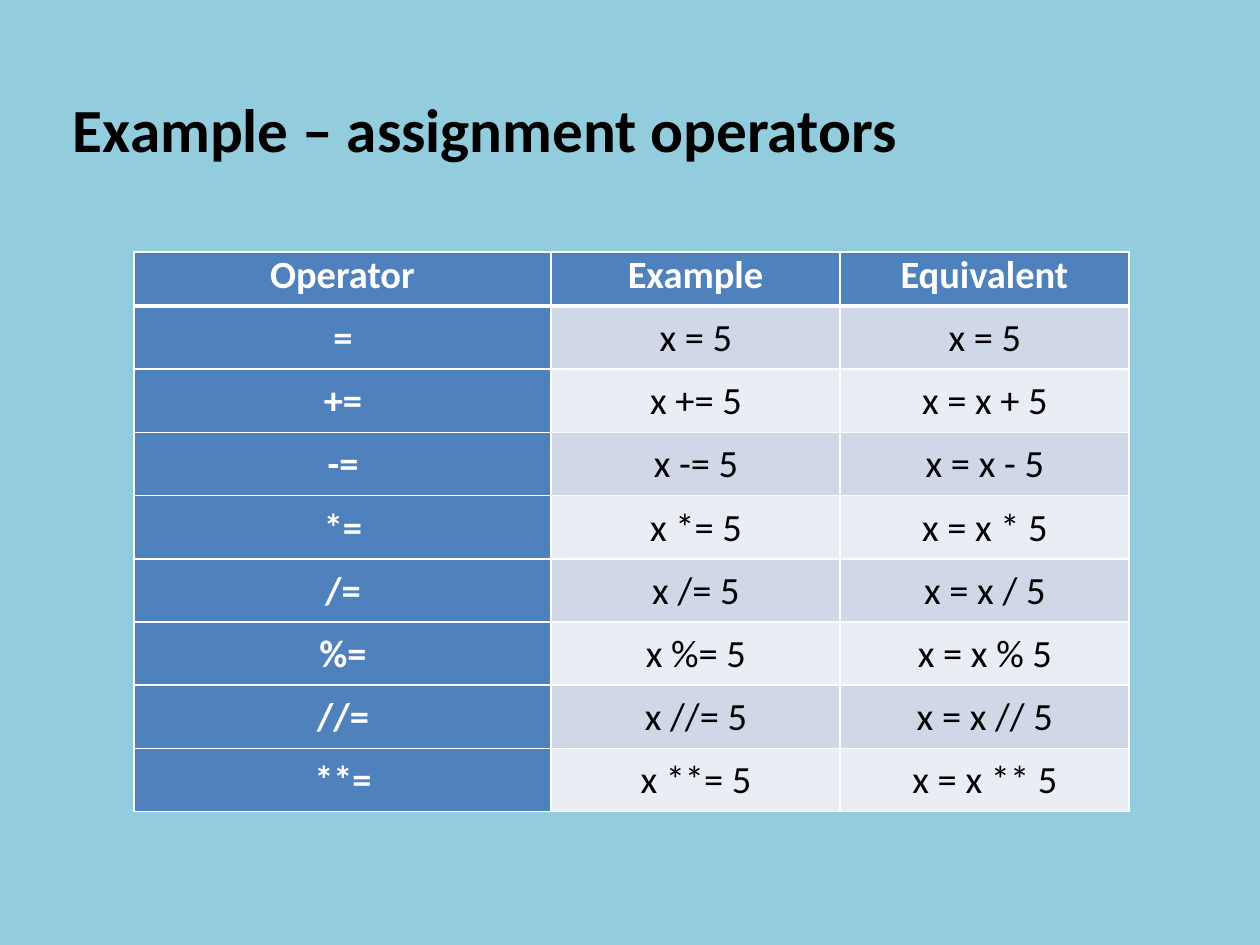
import pptx
import pptx.dml.color
import pptx.enum.text
import pptx.oxml
import pptx.oxml.ns
import pptx.util
from pptx.dml.color import RGBColor

EMU_PER_PX = 914400 / 126
FONT = "Calibri"
SKY = RGBColor(0x93, 0xCD, 0xDD)
BLUE = RGBColor(0x4F, 0x81, 0xBD)
BAND_DARK = RGBColor(0xD0, 0xD8, 0xE8)
BAND_LIGHT = RGBColor(0xE9, 0xED, 0xF4)
WHITE = RGBColor(0xFF, 0xFF, 0xFF)
BLACK = RGBColor(0x00, 0x00, 0x00)

HEADINGS = ("Operator", "Example", "Equivalent")
OPERATORS = ("", "+", "-", "*", "/", "%", "//", "**")
COLUMN_WIDTHS = (417, 289, 289)
HEADER_HEIGHT = 54
HEADER_INSETS = (20, 0, 20, 0)
BODY_INSETS = (9, 9, 8, 8)


def px(length):
    return pptx.util.Emu(round(length * EMU_PER_PX))


def set_font(para, size, color, bold):
    para.font.name = FONT
    para.font.size = pptx.util.Pt(size)
    para.font.color.rgb = color
    para.font.bold = bold


def set_insets(target, insets):
    """Set left, top, right and bottom margins of a cell or text frame."""
    for side, inset in zip(("left", "top", "right", "bottom"), insets):
        setattr(target, f"margin_{side}", px(inset))


def set_borders(cell, widths):
    """Draw white borders; widths are points for left, right, top, bottom."""
    properties = cell._tc.get_or_add_tcPr()
    for position, (side, width) in enumerate(zip("LRTB", widths)):
        line = pptx.oxml.parse_xml(
            f'<a:ln{side} {pptx.oxml.ns.nsdecls("a")} w="{pptx.util.Pt(width)}">'
            f'<a:solidFill><a:srgbClr val="{WHITE}"/></a:solidFill></a:ln{side}>'
        )
        properties.insert(position, line)


def add_title(page, left, top, width, height):
    box = page.shapes.add_textbox(px(left), px(top), px(width), px(height))
    frame = box.text_frame
    frame.word_wrap = True
    frame.vertical_anchor = pptx.enum.text.MSO_ANCHOR.BOTTOM
    set_insets(frame, (72, 5, 9, 5))
    para = frame.paragraphs[0]
    para.text = "Example – assignment operators"
    set_font(para, 35, BLACK, True)


def fill_cell(cell, text, row, column):
    is_header = row == 0
    is_heading = is_header or column == 0
    cell.fill.solid()
    if is_heading:
        cell.fill.fore_color.rgb = BLUE
    else:
        cell.fill.fore_color.rgb = BAND_DARK if row % 2 else BAND_LIGHT
    set_insets(cell, HEADER_INSETS if is_header else BODY_INSETS)
    anchors = pptx.enum.text.MSO_ANCHOR
    cell.vertical_anchor = anchors.TOP if is_header else anchors.MIDDLE
    set_borders(cell, (1, 1, 3 if row == 1 else 1, 3 if is_header else 1))
    para = cell.text_frame.paragraphs[0]
    para.text = text
    para.alignment = pptx.enum.text.PP_ALIGN.CENTER
    set_font(para, 22, WHITE if is_heading else BLACK, is_heading)


def add_operator_table(page, left, top, width, height):
    rows = [HEADINGS]
    for sign in OPERATORS:
        equivalent = f"x = x {sign} 5" if sign else "x = 5"
        rows.append((f"{sign}=", f"x {sign}= 5", equivalent))
    table = page.shapes.add_table(
        len(rows), len(HEADINGS), px(left), px(top), px(width), px(height)
    ).table
    for column, share in zip(table.columns, COLUMN_WIDTHS):
        column.width = px(width * share / sum(COLUMN_WIDTHS))
    body_height = (height - HEADER_HEIGHT) / len(OPERATORS)
    for row, texts in enumerate(rows):
        table.rows[row].height = px(body_height if row else HEADER_HEIGHT)
        for column, text in enumerate(texts):
            fill_cell(table.cell(row, column), text, row, column)


def main():
    deck = pptx.Presentation()
    deck.slide_width, deck.slide_height = px(1260), px(945)
    page = deck.slides.add_slide(deck.slide_layouts[6])
    page.background.fill.solid()
    page.background.fill.fore_color.rgb = SKY
    add_title(page, 1, 1, 1259, 169)
    add_operator_table(page, 134, 252, 995, 557)
    deck.save("out.pptx")


if __name__ == "__main__":
    main()
